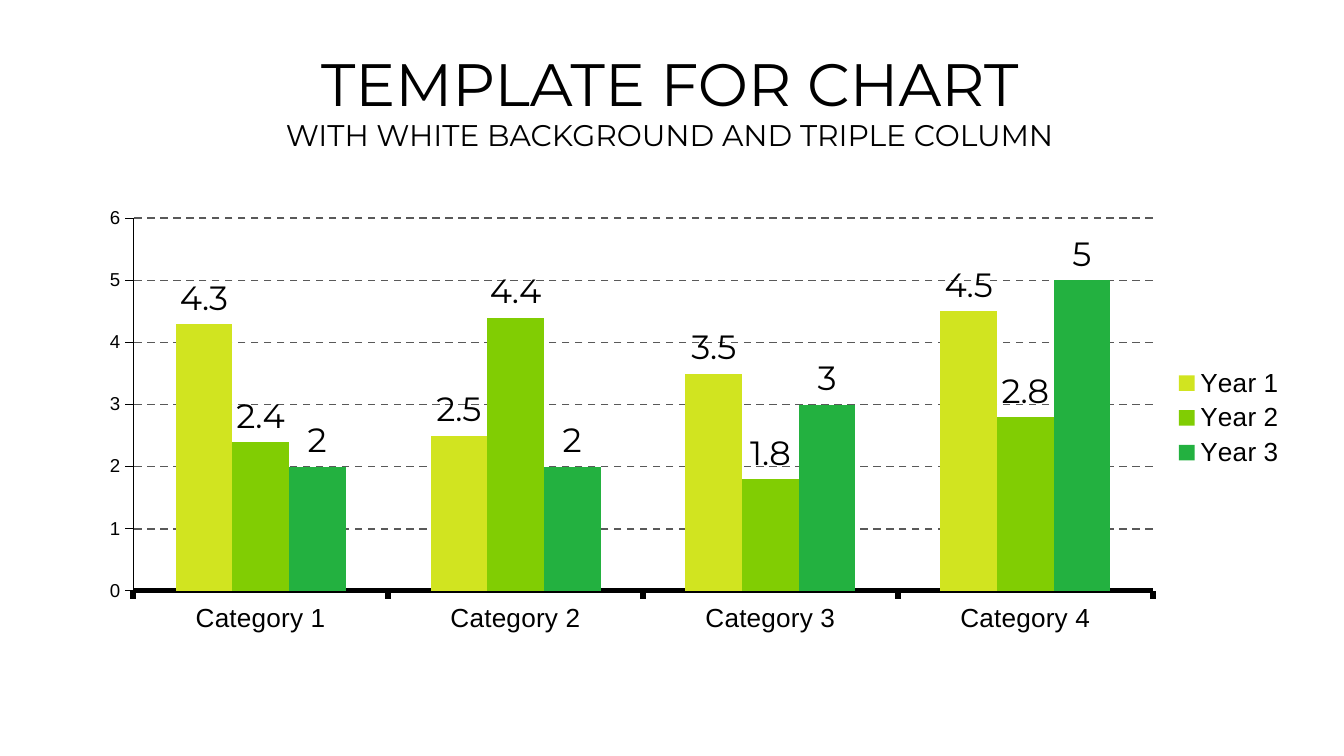
import pptx
import pptx.chart.data
import pptx.dml.color
import pptx.enum.chart
import pptx.enum.dml
import pptx.enum.text
import pptx.oxml
import pptx.oxml.ns
import pptx.util

Cm = pptx.util.Cm
Pt = pptx.util.Pt
RGBColor = pptx.dml.color.RGBColor

BLACK = RGBColor(0x00, 0x00, 0x00)
GRID_GREY = RGBColor(0x59, 0x59, 0x59)
LIME = RGBColor(0xD1, 0xE4, 0x20)
LEAF = RGBColor(0x81, 0xCD, 0x03)
EMERALD = RGBColor(0x23, 0xB1, 0x40)

CATEGORIES = ["Category 1", "Category 2", "Category 3", "Category 4"]
YEARS = [
    ("Year 1", (4.3, 2.5, 3.5, 4.5), LIME),
    ("Year 2", (2.4, 4.4, 1.8, 2.8), LEAF),
    ("Year 3", (2, 2, 3, 5), EMERALD),
]


class ChartSlide:
    heading_font = "Montserrat"
    chart_font = "Arial"
    left = Cm(1.6)

    def __init__(self, presentation):
        self.slide = presentation.slides.add_slide(presentation.slide_layouts[0])

    def style_font(self, font, name, size):
        font.name = name
        font.size = Pt(size)
        font.color.rgb = BLACK

    def heading(self, placeholder, text, top, height, size, anchor, line_spacing=1.0):
        placeholder.left, placeholder.top = self.left, top
        placeholder.width, placeholder.height = Cm(22.12), height
        frame = placeholder.text_frame
        frame.margin_left = frame.margin_right = 0
        frame.margin_top = frame.margin_bottom = 0
        frame.word_wrap = True
        frame.auto_size = pptx.enum.text.MSO_AUTO_SIZE.NONE
        frame.vertical_anchor = anchor
        paragraph = frame.paragraphs[0]
        paragraph.alignment = pptx.enum.text.PP_ALIGN.CENTER
        paragraph.line_spacing = line_spacing
        paragraph.space_before = Pt(0)
        run = paragraph.add_run()
        run.text = text
        self.style_font(run.font, self.heading_font, size)

    def column_chart(self, categories, series_rows):
        data = pptx.chart.data.CategoryChartData()
        data.categories = categories
        for name, values, _ in series_rows:
            data.add_series(name, values)
        chart = self.slide.shapes.add_chart(
            pptx.enum.chart.XL_CHART_TYPE.COLUMN_CLUSTERED,
            self.left, Cm(3.71), Cm(22.94), Cm(8.38), data,
        ).chart
        chart.has_title = False
        self.style_font(chart.font, self.chart_font, 18)
        chart.has_legend = True
        chart.legend.position = pptx.enum.chart.XL_LEGEND_POSITION.RIGHT
        chart.legend.include_in_layout = False
        self.style_font(chart.legend.font, self.chart_font, 14)

        plot = chart.plots[0]
        plot.gap_width = 150
        plot.overlap = 0
        plot.vary_by_categories = False
        for series, (_, _, color) in zip(plot.series, series_rows):
            series.format.fill.solid()
            series.format.fill.fore_color.rgb = color
            labels = series.data_labels
            labels.show_value = True
            labels.position = pptx.enum.chart.XL_LABEL_POSITION.OUTSIDE_END
            self.style_font(labels.font, self.heading_font, 18)

        self.axis(chart.category_axis, 14, 3)
        value_axis = chart.value_axis
        self.axis(value_axis, 10, 0.75)
        value_axis.minimum_scale = 0
        value_axis.maximum_scale = 6
        value_axis.major_unit = 1
        value_axis.has_major_gridlines = True
        grid = value_axis.major_gridlines.format.line
        grid.color.rgb = GRID_GREY
        grid.width = Pt(1)
        grid.dash_style = pptx.enum.dml.MSO_LINE.DASH
        self.place_plot(chart, x=0.04, y=0.05, w=0.84, h=0.84)

    def axis(self, axis, font_size, line_width):
        axis.major_tick_mark = pptx.enum.chart.XL_TICK_MARK.OUTSIDE
        axis.minor_tick_mark = pptx.enum.chart.XL_TICK_MARK.NONE
        axis.format.line.color.rgb = BLACK
        axis.format.line.width = Pt(line_width)
        self.style_font(axis.tick_labels.font, self.chart_font, font_size)

    def place_plot(self, chart, **fractions):
        """Fix the inner plot area, in fractions of the chart frame."""
        plot_area = chart.element.chart.plotArea
        for old_layout in plot_area.findall(pptx.oxml.ns.qn("c:layout")):
            plot_area.remove(old_layout)
        sizes = "".join(f'<c:{key} val="{value}"/>' for key, value in fractions.items())
        plot_area.insert(0, pptx.oxml.parse_xml(
            f'<c:layout {pptx.oxml.ns.nsdecls("c")}><c:manualLayout>'
            '<c:layoutTarget val="inner"/><c:xMode val="edge"/><c:yMode val="edge"/>'
            f"{sizes}</c:manualLayout></c:layout>"
        ))


def main():
    presentation = pptx.Presentation()
    presentation.slide_width = Cm(25.4)
    presentation.slide_height = Cm(14.29)
    page = ChartSlide(presentation)
    anchors = pptx.enum.text.MSO_ANCHOR
    page.heading(page.slide.shapes.title, "TEMPLATE FOR CHART",
                 Cm(1.14), Cm(0.74), 32, anchors.TOP, line_spacing=0.8)
    page.heading(page.slide.placeholders[1], "WITH WHITE BACKGROUND AND TRIPLE COLUMN",
                 Cm(2.08), Cm(0.91), 16, anchors.MIDDLE)
    page.column_chart(CATEGORIES, YEARS)
    presentation.save("out.pptx")


if __name__ == "__main__":
    main()
